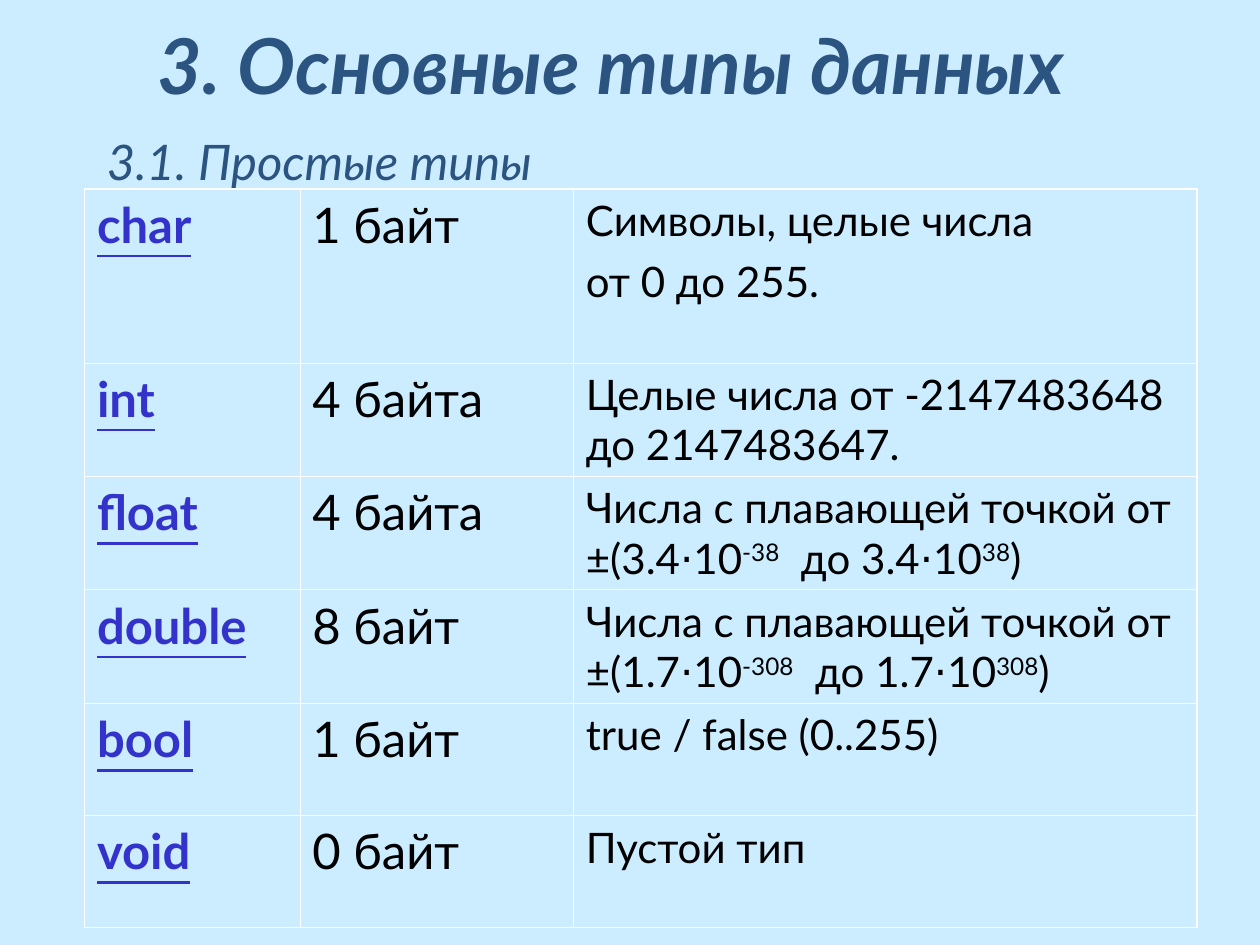
from dataclasses import dataclass
from typing import Any, NamedTuple

from lxml import etree
from pptx import Presentation, util as u
from pptx.dml.color import RGBColor
from pptx.enum import text
from pptx.oxml import ns


@dataclass(frozen=True)
class Theme:
    ground: str = "CCECFF"
    heading: str = "2B5481"
    keyword: str = "3333CC"
    body: str = "000000"
    rule: str = "FFFFFF"
    face: str = "Lato"
    symbol_face: str = "Arial"
    title_size: float = 44
    large_size: float = 28
    small_size: float = 24
    inner_line: float = 0.45
    outer_line: float = 1.08


class Span(NamedTuple):
    words: str
    face: str = Theme.face
    raised: bool = False


class Area(NamedTuple):
    left: float
    top: float
    width: float
    height: float


class DataType(NamedTuple):
    name: str
    size: str
    values: list[list[Span]]
    height: float


THEME = Theme()
WIDTH, HEIGHT = u.Inches(10), u.Inches(7.5)
TITLE_AREA = Area(0.042, -0.033, 0.9, 0.2)
SUBTITLE_AREA = Area(0.075, 0.133, 0.442, 0.09)
TABLE_AREA = Area(0.067, 0.2, 0.883, 0.781)
COLUMN_SHARES = (0.171, 0.217, 0.495)

TITLE_FORMAT = {"size": u.Pt(THEME.title_size), "bold": True, "italic": True}
SUBTITLE_FORMAT = {"size": u.Pt(THEME.large_size), "bold": False, "italic": True}
KEYWORD_FORMAT = {"size": u.Pt(THEME.large_size), "bold": True, "underline": True}
SIZE_FORMAT = {"size": u.Pt(THEME.large_size), "bold": False}
VALUES_FORMAT = {"size": u.Pt(THEME.small_size), "bold": False}


def plain(words: str) -> list[Span]:
    return [Span(words)]


def real_range(mantissa: str, exponent: str) -> list[Span]:
    dot, ten = Span("⋅", THEME.symbol_face), Span("10")
    return [
        Span(f"Числа с плавающей точкой от ±({mantissa}"), dot, ten,
        Span(f"-{exponent}", raised=True),
        Span(f"  до {mantissa}"), dot, ten,
        Span(exponent, raised=True), Span(")"),
    ]


DATA_TYPES = [
    DataType("сhar", "1 байт",
             [plain("Символы, целые числа"), plain("от 0 до 255.")], 0.184),
    DataType("int", "4 байта",
             [plain("Целые числа от -2147483648 до 2147483647.")], 0.12),
    DataType("float", "4 байта", [real_range("3.4", "38")], 0.12),
    DataType("double", "8 байт", [real_range("1.7", "308")], 0.12),
    DataType("bool", "1 байт", [plain("true / false (0..255)")], 0.1187),
    DataType("void", "0 байт", [plain("Пустой тип")], 0.1187),
]


def set_values(target: Any, values: dict[str, Any]) -> None:
    for name, value in values.items():
        setattr(target, name, value)


def place(area: Area) -> dict[str, int]:
    return {
        "left": int(WIDTH * area.left), "top": int(HEIGHT * area.top),
        "width": int(WIDTH * area.width), "height": int(HEIGHT * area.height),
    }


def write(frame: Any, paragraphs: list[list[Span]], color: str,
          style: dict[str, Any], align: Any = text.PP_ALIGN.LEFT) -> None:
    for number, spans in enumerate(paragraphs):
        para = frame.add_paragraph() if number else frame.paragraphs[0]
        para.alignment = align
        if number:
            para.space_before = u.Pt(6)
        for piece in spans:
            span = para.add_run()
            span.text = piece.words
            set_values(span.font, {**style, "name": piece.face})
            span.font.color.rgb = RGBColor.from_string(color)
            if piece.raised:
                span.font._element.set("baseline", "30000")


def draw_borders(cell: Any, sides: dict[str, bool]) -> None:
    properties = cell._tc.get_or_add_tcPr()
    for position, (side, outer) in enumerate(sides.items()):
        points = THEME.outer_line if outer else THEME.inner_line
        line = etree.Element(ns.qn(f"a:ln{side}"), w=str(u.Pt(points)))
        fill = etree.SubElement(line, ns.qn("a:solidFill"))
        etree.SubElement(fill, ns.qn("a:srgbClr"), val=THEME.rule)
        properties.insert(position, line)


def draw_headings(page: Any) -> None:
    title = page.shapes.title
    set_values(title, place(TITLE_AREA))
    subtitle = page.shapes.add_textbox(**place(SUBTITLE_AREA))
    for box, anchor in ((title, text.MSO_ANCHOR.MIDDLE),
                        (subtitle, text.MSO_ANCHOR.TOP)):
        set_values(box.text_frame, {
            "word_wrap": True, "auto_size": text.MSO_AUTO_SIZE.NONE,
            "vertical_anchor": anchor,
        })
    write(title.text_frame, [plain("3. Основные типы данных ")],
          THEME.heading, TITLE_FORMAT, text.PP_ALIGN.CENTER)
    write(subtitle.text_frame, [plain("3.1. Простые типы")],
          THEME.heading, SUBTITLE_FORMAT)


def draw_types(page: Any, types: list[DataType]) -> None:
    last_row, last_column = len(types) - 1, len(COLUMN_SHARES) - 1
    table = page.shapes.add_table(
        len(types), len(COLUMN_SHARES), **place(TABLE_AREA)).table
    set_values(table, {"first_row": False, "horz_banding": False})
    for column, share in zip(table.columns, COLUMN_SHARES):
        column.width = int(WIDTH * share)
    for row, kind in enumerate(types):
        table.rows[row].height = int(HEIGHT * kind.height)
        contents = (
            ([plain(kind.name)], THEME.keyword, KEYWORD_FORMAT),
            ([plain(kind.size)], THEME.body, SIZE_FORMAT),
            (kind.values, THEME.body, VALUES_FORMAT),
        )
        for column, (paragraphs, color, style) in enumerate(contents):
            cell = table.cell(row, column)
            cell.fill.background()
            draw_borders(cell, {
                "L": column == 0, "R": column == last_column,
                "T": row == 0, "B": row == last_row,
            })
            write(cell.text_frame, paragraphs, color, style)


def main() -> None:
    deck = Presentation()
    set_values(deck, {"slide_width": WIDTH, "slide_height": HEIGHT})
    page = deck.slides.add_slide(deck.slide_layouts.get_by_name("Title Only"))
    page.background.fill.solid()
    page.background.fill.fore_color.rgb = RGBColor.from_string(THEME.ground)
    draw_headings(page)
    draw_types(page, DATA_TYPES)
    deck.save("out.pptx")


if __name__ == "__main__":
    main()
